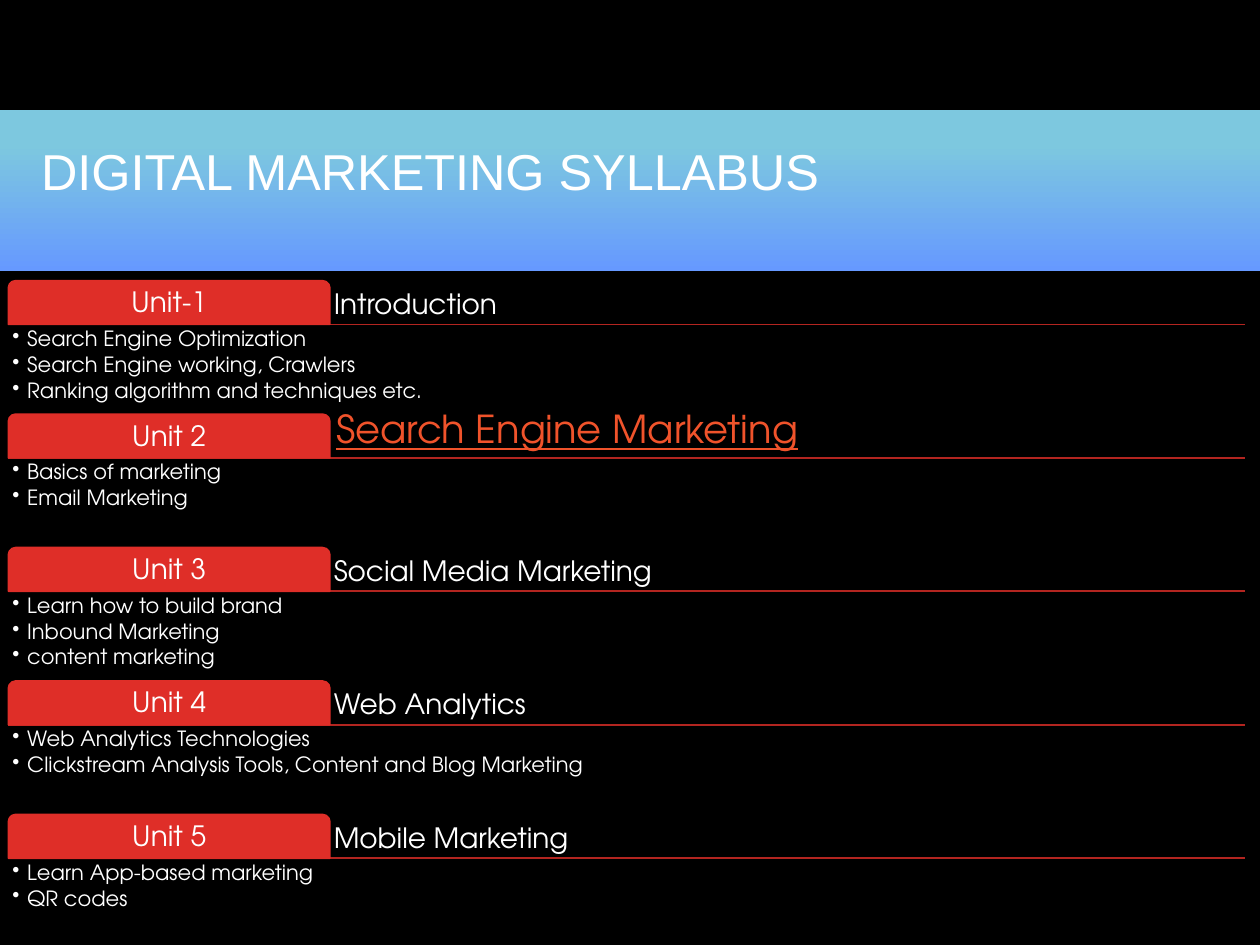
from dataclasses import dataclass

from lxml import etree
from pptx import Presentation
from pptx.dml.color import RGBColor
from pptx.enum.shapes import MSO_CONNECTOR, MSO_SHAPE
from pptx.enum.text import MSO_ANCHOR, PP_ALIGN
from pptx.oxml.ns import qn
from pptx.util import Cm, Pt

RECT = MSO_SHAPE.RECTANGLE
TAB = MSO_SHAPE.ROUND_2_SAME_RECTANGLE
STRAIGHT = MSO_CONNECTOR.STRAIGHT
TOP, MIDDLE, BOTTOM = MSO_ANCHOR.TOP, MSO_ANCHOR.MIDDLE, MSO_ANCHOR.BOTTOM
LEFT, CENTER = PP_ALIGN.LEFT, PP_ALIGN.CENTER


@dataclass(frozen=True)
class Theme:
    background: RGBColor = RGBColor(0x00, 0x00, 0x00)
    text: RGBColor = RGBColor(0xFF, 0xFF, 0xFF)
    band_top: RGBColor = RGBColor(0x7D, 0xC8, 0xDF)
    band_bottom: RGBColor = RGBColor(0x66, 0x99, 0xFF)
    tab: RGBColor = RGBColor(0xDF, 0x2E, 0x28)
    rule: RGBColor = RGBColor(0xB3, 0x25, 0x20)
    accent: RGBColor = RGBColor(0xF0, 0x53, 0x2B)
    title_font: str = "Arial"
    body_font: str = "TeX Gyre Adventor"
    title_size: float = 28.8
    accent_size: float = 22
    heading_size: float = 16
    bullet_size: float = 12


@dataclass(frozen=True)
class Unit:
    label: str
    heading: str
    topics: tuple[str, ...]
    accented: bool = False


THEME = Theme()
UNITS = (
    Unit("Unit-1", "Introduction",
         ("Search Engine Optimization", "Search Engine working, Crawlers",
          "Ranking algorithm and techniques etc.")),
    Unit("Unit 2", "Search Engine Marketing",
         ("Basics of marketing", "Email Marketing"), accented=True),
    Unit("Unit 3", "Social Media Marketing",
         ("Learn how to build brand", "Inbound Marketing", "content marketing")),
    Unit("Unit 4", "Web Analytics",
         ("Web Analytics Technologies",
          "Clickstream Analysis Tools, Content and Blog Marketing")),
    Unit("Unit 5", "Mobile Marketing",
         ("Learn App-based marketing", "QR codes")),
)

# Unit grid, in centimetres
GRID_LEFT, GRID_TOP, GRID_WIDTH = 0.17, 5.66, 24.92
PITCH, TAB_WIDTH, TAB_HEIGHT, TOPICS_HEIGHT = 2.69, 6.48, 0.88, 1.76
INSET, ACCENT_INSET, BULLET_INDENT = 0.08, 0.13, 0.3


def write(sp, lines: tuple[str, ...], size: float, color: RGBColor = THEME.text,
          font: str = THEME.body_font, align=LEFT, anchor=TOP,
          inset: float = INSET) -> None:
    """Fill a shape with paragraphs that share one format."""
    tf = sp.text_frame
    tf.text = "\n".join(lines)
    tf.word_wrap = True
    tf.vertical_anchor = anchor
    tf.margin_left = tf.margin_right = tf.margin_top = tf.margin_bottom = Cm(inset)
    for p in tf.paragraphs:
        p.alignment = align
        p.line_spacing = 0.9
        for r in p.runs:
            r.font.name = font
            r.font.size = Pt(size)
            r.font.color.rgb = color


def add_bullets(sp) -> None:
    """Give every paragraph a hanging bullet."""
    for p in sp.text_frame.paragraphs:
        p.level = 1
        p.space_after = Pt(0.15 * THEME.bullet_size)
        pPr = p._p.get_or_add_pPr()
        pPr.set("marL", str(Cm(BULLET_INDENT)))
        pPr.set("indent", str(-Cm(BULLET_INDENT)))
        etree.SubElement(pPr, qn("a:buChar")).set("char", "•")


def add_text(s, x: float, y: float, w: float, h: float):
    return s.shapes.add_textbox(Cm(x), Cm(y), Cm(w), Cm(h))


def add_band(s) -> None:
    sp = s.shapes.add_shape(RECT, 0, Cm(2.22), Cm(25.4), Cm(3.25))
    sp.shadow.inherit = False
    sp.line.fill.background()
    sp.fill.gradient()
    sp.fill.gradient_angle = 270
    stops = ((0.21, THEME.band_top), (1.0, THEME.band_bottom))
    for stop, (position, color) in zip(sp.fill.gradient_stops, stops):
        stop.position = position
        stop.color.rgb = color


def add_rule(s, y: float) -> None:
    line = s.shapes.add_connector(STRAIGHT, Cm(GRID_LEFT), Cm(y),
                                  Cm(GRID_LEFT + GRID_WIDTH), Cm(y))
    line.line.color.rgb = THEME.rule
    line.line.width = Pt(1)
    etree.SubElement(line._element.spPr, qn("a:effectLst"))


def add_unit(s, unit: Unit, top: float) -> None:
    rule_y = top + TAB_HEIGHT
    add_rule(s, rule_y)

    # Heading beside the tab
    sp = add_text(s, GRID_LEFT + TAB_WIDTH, top, GRID_WIDTH - TAB_WIDTH, TAB_HEIGHT)
    if unit.accented:
        write(sp, (unit.heading,), THEME.accent_size, THEME.accent,
              anchor=BOTTOM, inset=ACCENT_INSET)
        sp.text_frame.paragraphs[0].runs[0].font.underline = True
    else:
        write(sp, (unit.heading,), THEME.heading_size, anchor=BOTTOM)

    # Tab with the unit number
    sp = s.shapes.add_shape(TAB, Cm(GRID_LEFT), Cm(top), Cm(TAB_WIDTH), Cm(TAB_HEIGHT))
    sp.shadow.inherit = False
    sp.fill.solid()
    sp.fill.fore_color.rgb = THEME.tab
    sp.line.color.rgb = THEME.tab
    sp.line.width = Pt(1)
    write(sp, (unit.label,), THEME.heading_size, align=CENTER, anchor=MIDDLE)

    # Topics below the rule
    sp = add_text(s, GRID_LEFT, rule_y, GRID_WIDTH, TOPICS_HEIGHT)
    write(sp, unit.topics, THEME.bullet_size)
    add_bullets(sp)


def main() -> None:
    prs = Presentation()
    prs.slide_width, prs.slide_height = Cm(25.4), Cm(19.05)
    s = prs.slides.add_slide(prs.slide_layouts[6])
    s.background.fill.solid()
    s.background.fill.fore_color.rgb = THEME.background

    # Title band
    add_band(s)
    title = add_text(s, 0.58, 2.72, 17.04, 1.57)
    write(title, ("DIGITAL MARKETING SYLLABUS",), THEME.title_size,
          font=THEME.title_font, anchor=MIDDLE, inset=0.25)

    # Syllabus units
    for i, unit in enumerate(UNITS):
        add_unit(s, unit, GRID_TOP + i * PITCH)

    prs.save("out.pptx")


if __name__ == "__main__":
    main()
